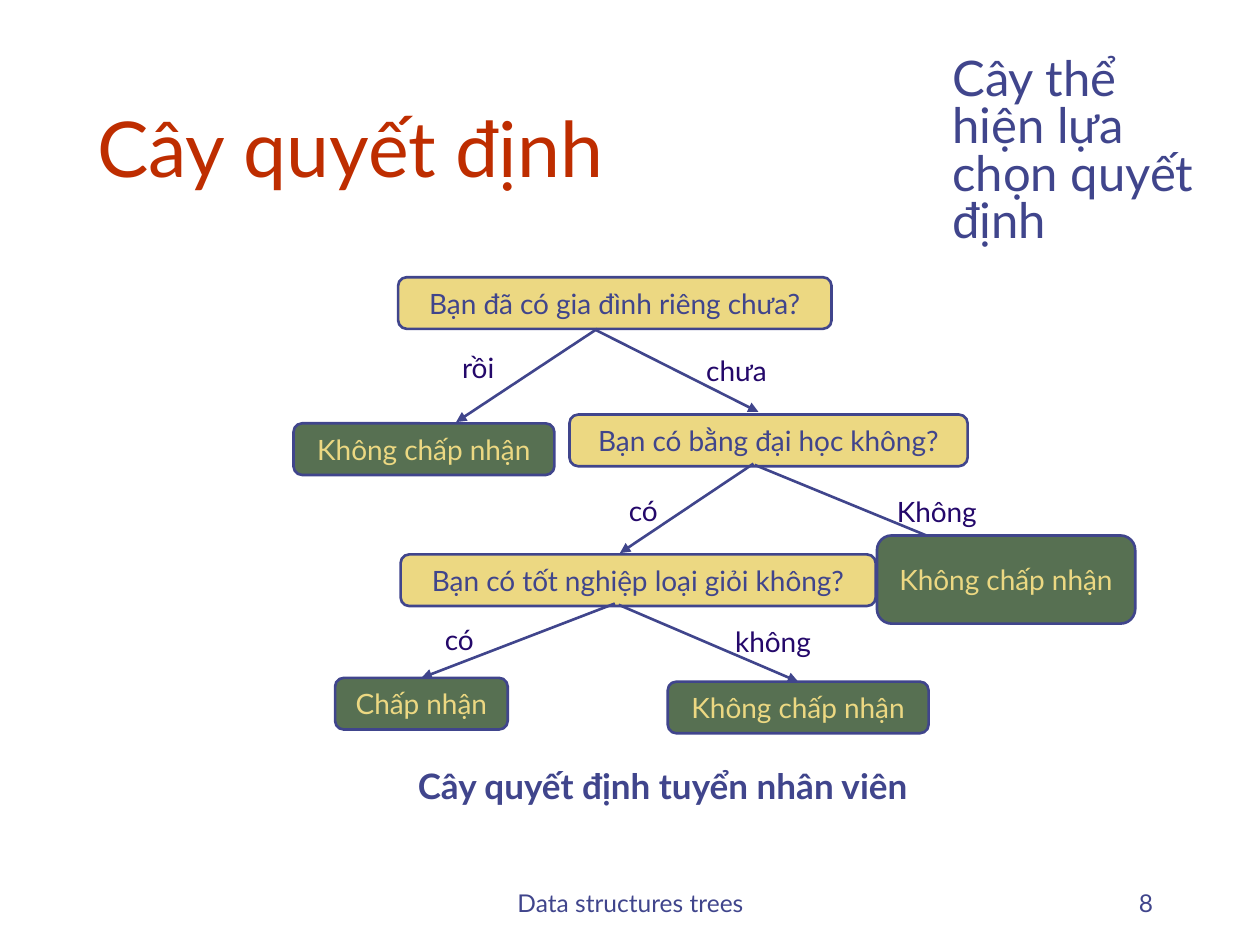
from pptx import Presentation
from pptx.dml.color import RGBColor
from pptx.enum.shapes import MSO_CONNECTOR, MSO_SHAPE
from pptx.enum.text import MSO_ANCHOR, MSO_AUTO_SIZE, PP_ALIGN
from pptx.oxml.ns import qn
from pptx.util import Inches, Pt
from lxml.etree import SubElement

BLUE = RGBColor(0x40, 0x45, 0x8C)
RED = RGBColor(0xBE, 0x2D, 0x00)
GOLD = RGBColor(0xEC, 0xD8, 0x82)
GREEN = RGBColor(0x57, 0x70, 0x52)
INK = RGBColor(0x24, 0x08, 0x6A)
FONT = "Lato"
PROC = MSO_SHAPE.FLOWCHART_ALTERNATE_PROCESS
ROUND = MSO_SHAPE.ROUNDED_RECTANGLE
ROW = 0.41  # height of a one-line node

# name: left, top, width, height, text, shape kind
ASKS = {
    "family": (3.16, 2.2, 3.44, ROW, "Bạn đã có gia đình riêng chưa?", PROC),
    "degree": (4.52, 3.29, 3.16, ROW, "Bạn có bằng đại học không?", PROC),
    "grade": (3.18, 4.4, 3.77, ROW, "Bạn có tốt nghiệp loại giỏi không?", PROC),
}
ENDS = {
    "married": (2.33, 3.36, 2.07, ROW, "Không chấp nhận", ROUND),
    "school": (6.96, 4.25, 2.05, 0.7, "Không chấp nhận", ROUND),
    "accept": (2.66, 5.38, 1.37, ROW, "Chấp nhận", PROC),
    "reject": (5.3, 5.41, 2.07, ROW, "Không chấp nhận", PROC),
}
# start x, y, end x, y, node joined at its top middle
EDGES = [
    (4.74, 2.61, 3.62, 3.35, None),
    (4.73, 2.62, 6.02, 3.27, None),
    (5.98, 3.68, 4.92, 4.39, None),
    (5.99, 3.69, 7.62, 4.36, None),
    (4.88, 4.79, 3.36, 5.36, "accept"),
    (4.91, 4.8, 6.32, 5.39, "reject"),
]
LABELS = [
    (3.04, 2.73, "rồi"),
    (5.09, 2.76, "chưa"),
    (4.35, 3.87, "có"),
    (6.68, 3.88, "Không"),
    (2.89, 4.89, "có"),
    (5.38, 4.91, "không"),
]


def place(shape, box):
    shape.left, shape.top, shape.width, shape.height = map(Inches, box)


def write(shape, text, size, color, align=PP_ALIGN.CENTER,
          anchor=MSO_ANCHOR.TOP, bold=False, wrap=True):
    frame = shape.text_frame
    frame.auto_size = MSO_AUTO_SIZE.NONE
    frame.word_wrap = wrap
    frame.vertical_anchor = anchor
    para = frame.paragraphs[0]
    para.alignment = align
    run = para.add_run()
    run.text = text
    font = run.font
    font.name, font.size, font.bold = FONT, Pt(size), bold
    font.color.rgb = color
    return para


def add_text(slide, box, *args, **style):
    write(slide.shapes.add_textbox(*map(Inches, box)), *args, **style)


def add_title(slide, box):
    title = slide.shapes.title
    place(title, box)
    write(title, "Cây quyết định", 44, RED, PP_ALIGN.LEFT, MSO_ANCHOR.BOTTOM)


def add_body(slide, box):
    body = slide.placeholders[1]
    place(body, box)
    para = write(body, "Cây thể hiện lựa chọn quyết định", 28, BLUE, PP_ALIGN.LEFT)
    para.line_spacing = 0.8
    para.space_before = Pt(7)
    # Indented text without a bullet
    props = para._p.get_or_add_pPr()
    props.set("marL", str(Inches(0.38)))
    props.set("indent", "0")
    SubElement(props, qn("a:buNone"))


def add_node(slide, spec, fill, ink):
    *box, text, kind = spec
    node = slide.shapes.add_shape(kind, *map(Inches, box))
    node.shadow.inherit = False
    node.fill.solid()
    node.fill.fore_color.rgb = fill
    node.line.color.rgb = BLUE
    node.line.width = Pt(1.5)
    write(node, text, 16, ink, anchor=MSO_ANCHOR.MIDDLE, wrap=False)
    return node


def add_edge(slide, ends):
    edge = slide.shapes.add_connector(MSO_CONNECTOR.STRAIGHT, *map(Inches, ends))
    edge.line.color.rgb = BLUE
    edge.line.width = Pt(1.5)
    SubElement(edge.line._get_or_add_ln(), qn("a:tailEnd"), type="triangle")
    SubElement(edge._element.spPr, qn("a:effectLst"))
    return edge


def add_tree(slide):
    # Questions, then arrows, then answers on top
    for spec in ASKS.values():
        add_node(slide, spec, GOLD, BLUE)
    edges = [(add_edge(slide, ends), goal) for *ends, goal in EDGES]
    nodes = {name: add_node(slide, spec, GREEN, GOLD) for name, spec in ENDS.items()}
    for edge, goal in edges:
        if goal:
            edge.end_connect(nodes[goal], 0)
    # Arrow labels
    for left, top, text in LABELS:
        add_text(slide, (left, top, 1.51, 0.37), text, 16, INK)
    # Caption
    add_text(slide, (1.76, 6.02, 7, 0.44), "Cây quyết định tuyển nhân viên",
             20, BLUE, bold=True)


def add_foot(slide, top, height):
    add_text(slide, (3.42, top, 3.17, height), "Data structures trees", 14, BLUE,
             anchor=MSO_ANCHOR.BOTTOM)
    add_text(slide, (7.17, top, 2.08, height), "8", 14, BLUE,
             align=PP_ALIGN.RIGHT, anchor=MSO_ANCHOR.BOTTOM)


def main():
    deck = Presentation()
    deck.slide_width, deck.slide_height = Inches(10), Inches(7.5)
    slide = deck.slides.add_slide(deck.slide_layouts[1])
    add_title(slide, (0.67, 0.33, 8.5, 1.25))
    add_body(slide, (7.08, 0.42, 2.58, 1.67))
    add_tree(slide)
    add_foot(slide, 6.83, 0.5)
    deck.save("out.pptx")


if __name__ == "__main__":
    main()
